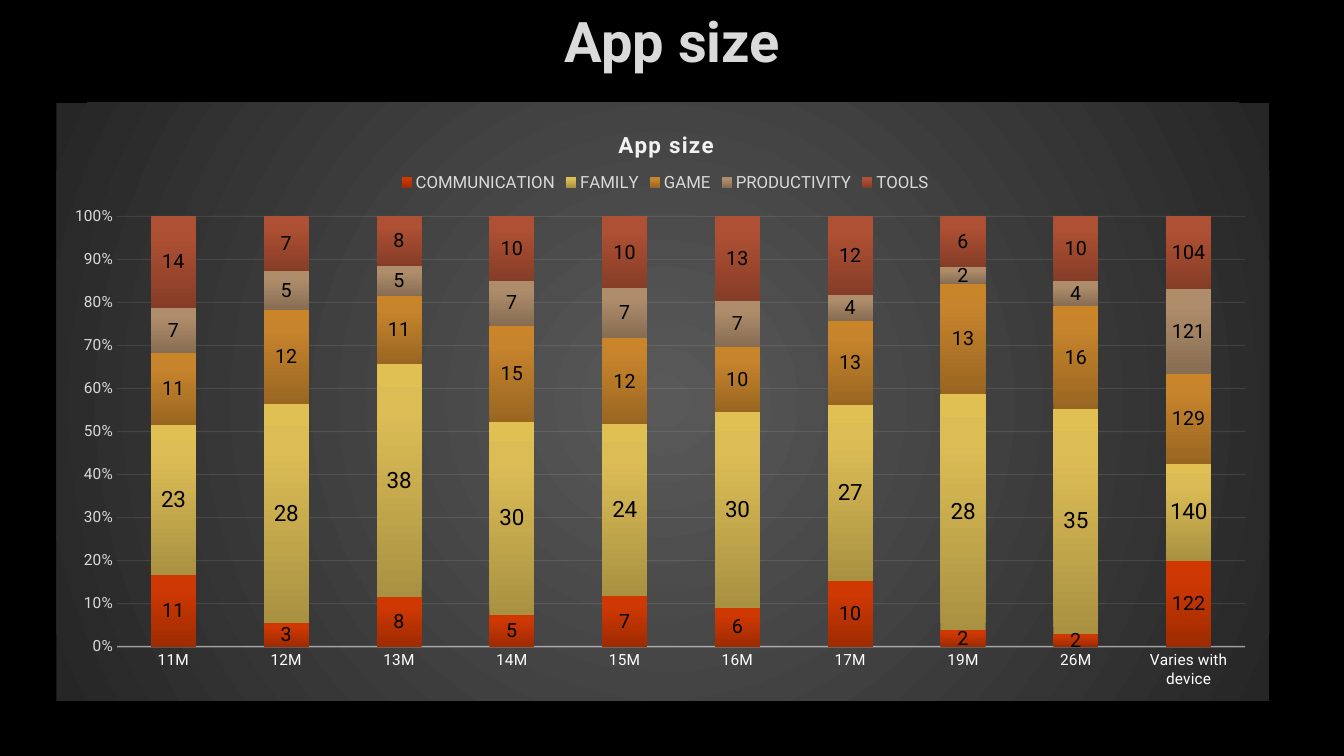
from lxml import etree
from pptx import Presentation
from pptx import util as u
from pptx.chart.data import CategoryChartData
from pptx.dml.color import RGBColor
from pptx.enum import chart as charts, text
from pptx.oxml import parse_xml
from pptx.oxml.ns import nsdecls, qn

BLACK = RGBColor(0x00, 0x00, 0x00)
WHITE = RGBColor(0xFF, 0xFF, 0xFF)
HEADING = RGBColor(0xDA, 0xDA, 0xDA)
PALE = RGBColor(0xD9, 0xD9, 0xD9)
LIGHT = RGBColor(0xF2, 0xF2, 0xF2)
OUTLINE = RGBColor(0x40, 0x40, 0x40)
PANEL = [(0, RGBColor(0x59, 0x59, 0x59)), (100, RGBColor(0x26, 0x26, 0x26))]
CIRCLE = ('<a:path path="circle"><a:fillToRect l="50000" t="50000" '
          'r="50000" b="50000"/></a:path>')
UPWARD = '<a:lin ang="16200000" scaled="0"/>'

SIZES = ["11M", "12M", "13M", "14M", "15M", "16M", "17M", "19M", "26M",
         "Varies with device"]
GENRES = [
    ("COMMUNICATION", [11, 3, 8, 5, 7, 6, 10, 2, 2, 122], 14,
     (RGBColor(0x9E, 0x2B, 0x02), RGBColor(0xCE, 0x38, 0x03), RGBColor(0xD1, 0x37, 0x00))),
    ("FAMILY", [23, 28, 38, 30, 24, 30, 27, 28, 35, 140], 16,
     (RGBColor(0xA9, 0x91, 0x42), RGBColor(0xDC, 0xBD, 0x55), RGBColor(0xE0, 0xBF, 0x53))),
    ("GAME", [11, 12, 11, 15, 12, 10, 13, 13, 16, 129], 14,
     (RGBColor(0x99, 0x66, 0x22), RGBColor(0xC7, 0x84, 0x2C), RGBColor(0xCB, 0x85, 0x29))),
    ("PRODUCTIVITY", [7, 5, 5, 7, 7, 7, 4, 2, 4, 121], 14,
     (RGBColor(0x87, 0x6D, 0x53), RGBColor(0xAF, 0x8D, 0x6B), RGBColor(0xB2, 0x8E, 0x6B))),
    ("TOOLS", [14, 7, 8, 10, 10, 13, 12, 6, 10, 104], 14,
     (RGBColor(0x86, 0x3D, 0x27), RGBColor(0xAE, 0x50, 0x33), RGBColor(0xB1, 0x4F, 0x31))),
]


def gradient(stops, direction):
    marks = "".join(f'<a:gs pos="{place * 1000}"><a:srgbClr val="{color}"/></a:gs>'
                    for place, color in stops)
    return parse_xml(f'<a:gradFill {nsdecls("a")} rotWithShape="1">'
                     f'<a:gsLst>{marks}</a:gsLst>{direction}</a:gradFill>')


def place(parent, after, **fractions):
    for old in parent.findall(qn("c:layout")):
        parent.remove(old)
    inner = '<c:layoutTarget val="inner"/>' if after is None else ""
    modes = '<c:xMode val="edge"/><c:yMode val="edge"/>'
    values = "".join(f'<c:{key} val="{value}"/>' for key, value in fractions.items())
    layout = parse_xml(f'<c:layout {nsdecls("c")}><c:manualLayout>{inner}{modes}{values}'
                       '</c:manualLayout></c:layout>')
    if after is None:
        parent.insert(0, layout)
    else:
        parent.find(qn(after)).addnext(layout)


class SizeSlide:
    font_name = "Roboto"

    def __init__(self, deck):
        self.page = deck.slides.add_slide(deck.slide_layouts[6])
        self.page.background.fill.solid()
        self.page.background.fill.fore_color.rgb = BLACK

    def style(self, font, size, color, **extra):
        for key, value in {"name": self.font_name, "size": u.Pt(size), **extra}.items():
            setattr(font, key, value)
        font.color.rgb = color

    def line(self, owner, element, width, opacity):
        owner.format.line.width = u.Pt(width)
        owner.format.line.color.rgb = LIGHT
        color = element.find(f'{qn("c:spPr")}/{qn("a:ln")}//{qn("a:srgbClr")}')
        etree.SubElement(color, qn("a:alpha"), val=str(opacity * 1000))

    def heading(self, words, left, top, width, height):
        box = self.page.shapes.add_textbox(*map(u.Inches, (left, top, width, height)))
        frame = box.text_frame
        frame.word_wrap = True
        frame.vertical_anchor = text.MSO_ANCHOR.MIDDLE
        para = frame.paragraphs[0]
        para.alignment = text.PP_ALIGN.CENTER
        span = para.add_run()
        span.text = words
        self.style(span.font, 40, HEADING, bold=True)
        span.font._element.insert(0, parse_xml(
            f'<a:ln {nsdecls("a")} w="9525"><a:solidFill><a:srgbClr val="{OUTLINE}">'
            '<a:alpha val="10000"/></a:srgbClr></a:solidFill></a:ln>'))

    def stacked_chart(self, words, left, top, width, height):
        data = CategoryChartData()
        data.categories = SIZES
        for name, counts, *_ in GENRES:
            data.add_series(name, counts)
        chart = self.page.shapes.add_chart(
            charts.XL_CHART_TYPE.COLUMN_STACKED_100,
            *map(u.Inches, (left, top, width, height)), data).chart
        self.style(chart.font, 10, WHITE)
        panel = parse_xml(f'<c:spPr {nsdecls("c", "a")}><a:ln><a:noFill/></a:ln></c:spPr>')
        panel.insert(0, gradient(PANEL, CIRCLE))
        space = chart._chartSpace
        space.find(qn("c:chart")).addnext(panel)
        place(space.chart.plotArea, None, x=0.05, y=0.19, w=0.93, h=0.72)
        self.chart_title(chart, words)
        self.legend(chart)
        self.axes(chart)
        self.columns(chart.plots[0])

    def chart_title(self, chart, words):
        chart.has_title = True
        span = chart.chart_title.text_frame.paragraphs[0].add_run()
        span.text = words
        self.style(span.font, 16, LIGHT, bold=True)
        span.font._element.set("spc", "100")
        place(chart.chart_title._element, "c:tx", x=0.46, y=0.04)

    def legend(self, chart):
        chart.has_legend = True
        legend = chart.legend
        legend.position = charts.XL_LEGEND_POSITION.TOP
        legend.include_in_layout = False
        self.style(legend.font, 12, PALE)
        place(legend._element, "c:legendPos", x=0.28, y=0.11)

    def axes(self, chart):
        sizes, shares = chart.category_axis, chart.value_axis
        for axis, color in ((sizes, WHITE), (shares, PALE)):
            axis.major_tick_mark = charts.XL_TICK_MARK.NONE
            axis.minor_tick_mark = charts.XL_TICK_MARK.NONE
            self.style(axis.tick_labels.font, 11, color)
        self.line(sizes, sizes._element, 1, 54)
        shares.format.line.fill.background()
        shares.maximum_scale, shares.minimum_scale, shares.major_unit = 1, 0, 0.1
        shares.tick_labels.number_format = "0%"
        shares.tick_labels.number_format_is_linked = False
        shares.has_major_gridlines = True
        self.line(shares.major_gridlines,
                  shares._element.find(qn("c:majorGridlines")), 0.75, 10)

    def columns(self, plot):
        plot.gap_width, plot.overlap, plot.vary_by_categories = 150, 100, False
        for series, (_, _, label_size, shades) in zip(plot.series, GENRES):
            shape = series._element.get_or_add_spPr()
            shape.insert(0, gradient(zip((0, 80, 100), shades), UPWARD))
            series.format.line.fill.background()
            labels = series.data_labels
            labels.show_value = True
            labels.position = charts.XL_LABEL_POSITION.CENTER
            self.style(labels.font, label_size, BLACK)


def main():
    deck = Presentation()
    deck.slide_width, deck.slide_height = u.Inches(13.33), u.Inches(7.5)
    slide = SizeSlide(deck)
    slide.heading("App size", 1.01, -0.13, 11.32, 1.06)
    slide.stacked_chart("App size", 0.56, 1.02, 12.03, 5.93)
    deck.save("out.pptx")


if __name__ == "__main__":
    main()
